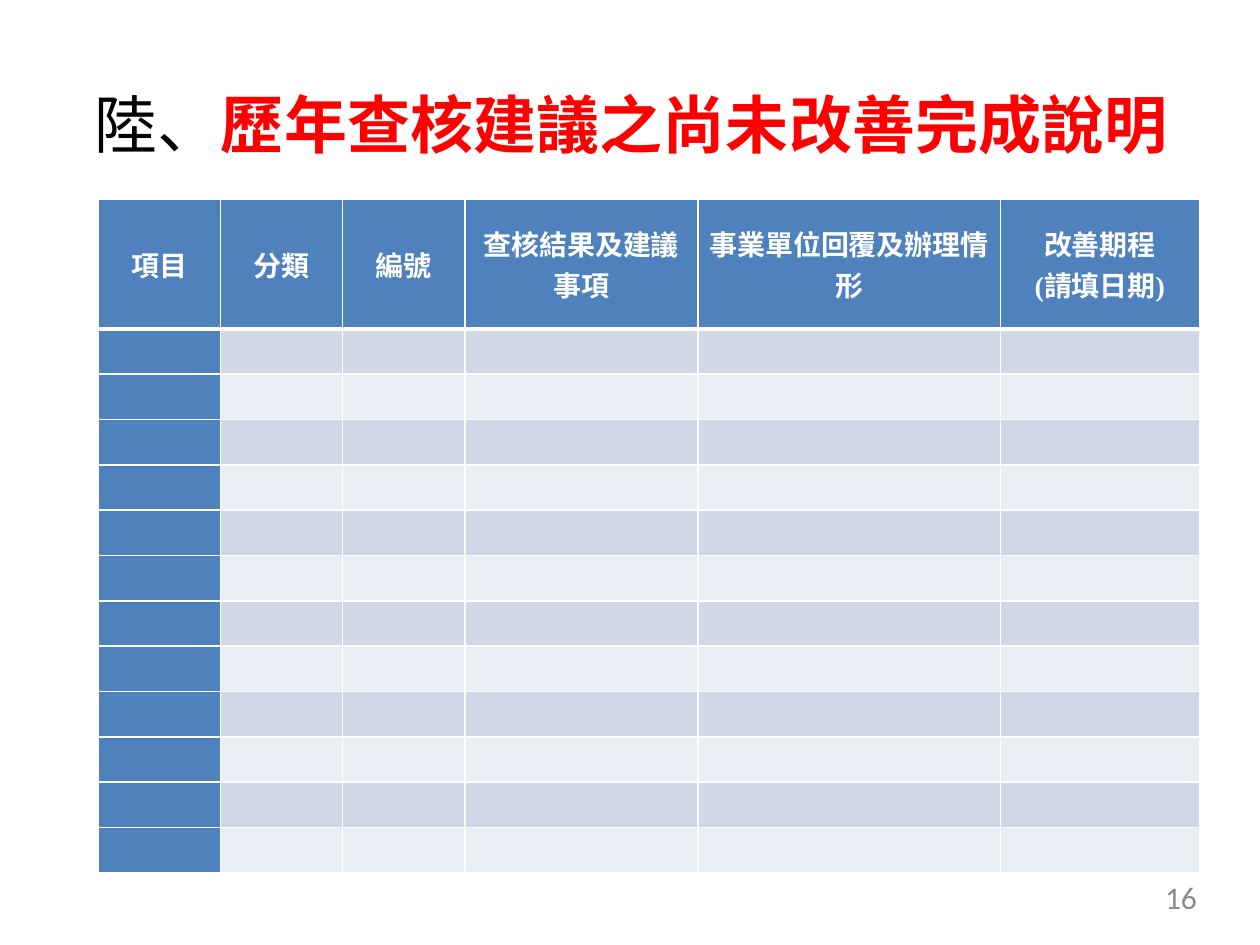
"""Build the slide listing past audit suggestions not yet resolved."""
from lxml import etree
from pptx import Presentation
from pptx import util as u
from pptx.dml.color import RGBColor
from pptx.enum import text
from pptx.oxml import ns

COLORS = {"white": "FFFFFF", "black": "000000", "red": "FF0000", "blue": "4F81BD",
          "band_dark": "D0D8E8", "band_light": "E9EDF4", "grey": "8C8C8C"}
TITLE = [("陸、", "black", False), ("歷年查核建議之尚未改善完成說明", "red", True)]
COLUMNS = [("項目", 0.97), ("分類", 0.97), ("編號", 0.97), ("查核結果及建議事項", 1.85),
           ("事業單位回覆及辦理情形", 2.4), ("改善期程\n(請填日期)", 1.58)]
PAGE_NUMBER = "16"
EMPTY_ROWS = 12
HEADER_HEIGHT, ROW_HEIGHT = 1.03, 0.36
TITLE_BOX = (0.75, 0.67, 8.75, 0.61)
TABLE_CORNER = (0.78, 1.58)
NUMBER_BOX = (7.2, 6.97, 2.3, 0.38)


def color(name):
    return RGBColor.from_string(COLORS[name])


def inches(lengths):
    return [u.Inches(length) for length in lengths]


def style(run, size, font, tint, bold=False):
    run.font.size = u.Pt(size)
    run.font.name = font
    run.font.bold = bold
    run.font.color.rgb = color(tint)


def clear_insets(frame):
    frame.margin_left = frame.margin_right = frame.margin_top = frame.margin_bottom = 0
    frame.word_wrap = True
    frame.auto_size = text.MSO_AUTO_SIZE.NONE


def add_borders(cell, widths):
    properties = cell._tc.get_or_add_tcPr()
    for side, width in widths.items():
        line = etree.SubElement(properties, ns.qn(f"a:ln{side}"), w=str(u.Pt(width)))
        fill = etree.SubElement(line, ns.qn("a:solidFill"))
        etree.SubElement(fill, ns.qn("a:srgbClr"), val=COLORS["white"])


def add_title(slide):
    title = slide.shapes.title
    title.left, title.top, title.width, title.height = inches(TITLE_BOX)
    frame = title.text_frame
    clear_insets(frame)
    frame.vertical_anchor = text.MSO_ANCHOR.MIDDLE
    paragraph = frame.paragraphs[0]
    paragraph.alignment = text.PP_ALIGN.LEFT
    for words, tint, bold in TITLE:
        run = paragraph.add_run()
        run.text = words
        style(run, 36, "Noto Sans CJK SC", tint, bold)
        properties = run.font._element
        properties.set("spc", "10")
        etree.SubElement(properties, ns.qn("a:ea"), typeface="Noto Sans CJK SC")


def add_audit_table(slide):
    width = sum(share for _, share in COLUMNS)
    height = HEADER_HEIGHT + EMPTY_ROWS * ROW_HEIGHT
    table = slide.shapes.add_table(EMPTY_ROWS + 1, len(COLUMNS),
                                   *inches((*TABLE_CORNER, width, height))).table
    table.first_col = True
    for column, (_, share) in zip(table.columns, COLUMNS):
        column.width = u.Inches(share)
    for r, row in enumerate(table.rows):
        row.height = u.Inches(ROW_HEIGHT if r else HEADER_HEIGHT)
        band = "band_dark" if r % 2 else "band_light"
        for c, cell in enumerate(row.cells):
            cell.margin_left = cell.margin_right = u.Inches(0.07)
            cell.margin_top = cell.margin_bottom = 0
            cell.vertical_anchor = text.MSO_ANCHOR.MIDDLE
            add_borders(cell, {"L": 1, "R": 1, "T": 3 if r == 1 else 1, "B": 1 if r else 3})
            cell.fill.solid()
            cell.fill.fore_color.rgb = color("blue" if r == 0 or c == 0 else band)
    for cell, (heading, _) in zip(table.rows[0].cells, COLUMNS):
        cell.text_frame.text = heading
        for paragraph in cell.text_frame.paragraphs:
            paragraph.alignment = text.PP_ALIGN.CENTER
            style(paragraph.runs[0], 16, "Times New Roman", "white", True)


def add_page_number(slide):
    frame = slide.shapes.add_textbox(*inches(NUMBER_BOX)).text_frame
    clear_insets(frame)
    frame.text = PAGE_NUMBER
    paragraph = frame.paragraphs[0]
    paragraph.alignment = text.PP_ALIGN.RIGHT
    style(paragraph.runs[0], 18, "Calibri", "grey")


def main():
    deck = Presentation()
    deck.slide_width, deck.slide_height = inches((10, 7.5))
    slide = deck.slides.add_slide(deck.slide_layouts[5])
    add_title(slide)
    add_audit_table(slide)
    add_page_number(slide)
    deck.save("out.pptx")


if __name__ == "__main__":
    main()
